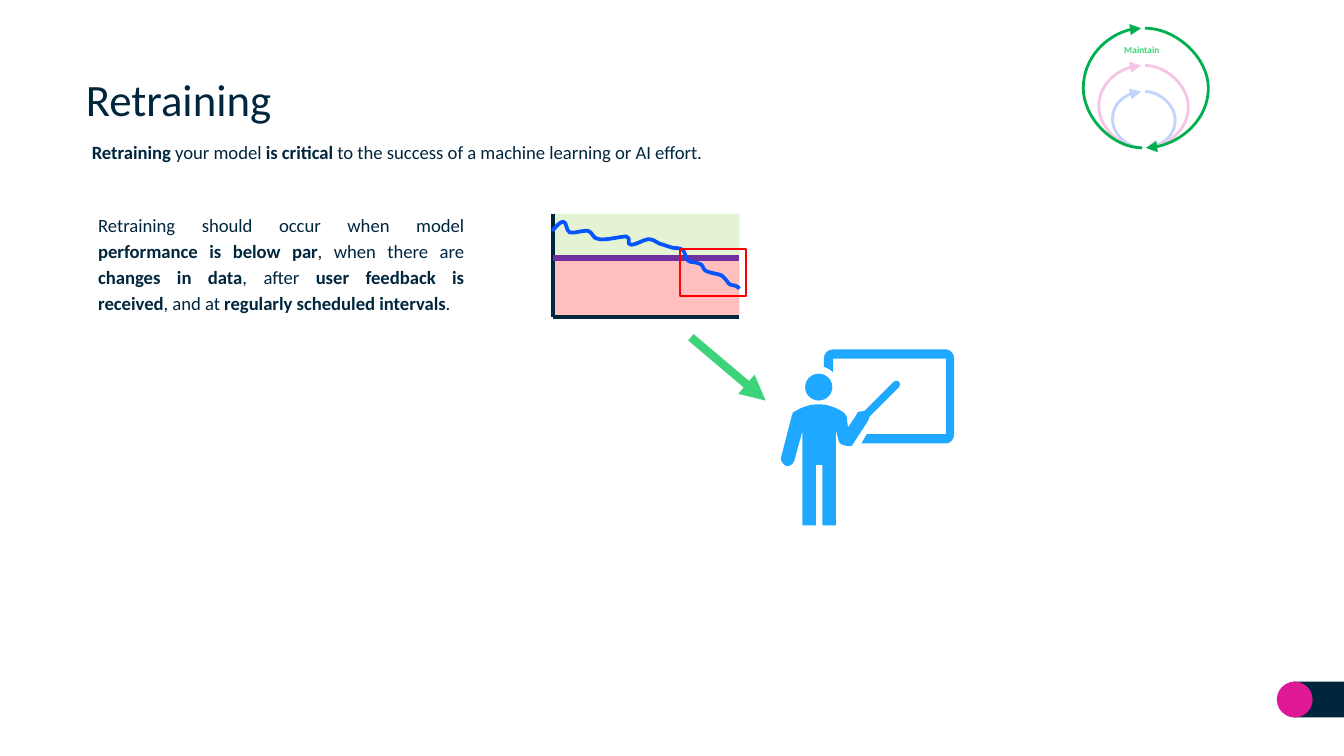
from dataclasses import dataclass
from typing import NamedTuple, Optional

from lxml.etree import SubElement
from pptx import Presentation
from pptx.dml.color import RGBColor as RGB
from pptx.enum.shapes import MSO_CONNECTOR as LINK, MSO_SHAPE as FORM
from pptx.enum.text import MSO_ANCHOR as ANCHOR, PP_ALIGN as ALIGN
from pptx.oxml.ns import qn
from pptx.util import Pt


@dataclass(frozen=True)
class Theme:
    font: str = "Calibri"
    navy: str = "00263E"
    magenta: str = "DF1995"
    sky: str = "1FA8FF"
    blue: str = "0654FE"
    mint: str = "3DD37A"
    green: str = "00B050"
    lime: str = "92D050"
    red: str = "FF0000"
    purple: str = "7030A0"
    white: str = "FFFFFF"
    title: float = 24
    body: float = 10
    label: float = 5


THEME = Theme()


class Box(NamedTuple):
    left: float
    top: float
    width: float
    height: float


@dataclass(frozen=True)
class Block:
    box: Box
    fill: Optional[str] = None
    opacity: int = 100
    form: FORM = FORM.RECTANGLE
    line: Optional[str] = None


@dataclass(frozen=True)
class Stroke:
    start: tuple
    end: tuple
    color: str
    weight: float
    arrow: bool = False


@dataclass(frozen=True)
class Loop:
    top: float
    color: str
    left_reach: float
    right_reach: float


@dataclass(frozen=True)
class Copy:
    box: Box
    runs: tuple
    size: float
    color: str = THEME.navy
    align: ALIGN = ALIGN.JUSTIFY
    anchor: ANCHOR = ANCHOR.TOP
    inset: float = 0.72
    spacing: float = 1.15


def apply(target, values: dict) -> None:
    for key, value in values.items():
        setattr(target, key, value)


def paint(shape, fill: Optional[str], line: Optional[str], weight: float) -> None:
    shape.shadow.inherit = False
    if fill:
        shape.fill.solid()
        shape.fill.fore_color.rgb = RGB.from_string(fill)
    else:
        shape.fill.background()
    if line:
        shape.line.color.rgb = RGB.from_string(line)
        shape.line.width = Pt(weight)
    else:
        shape.line.fill.background()


def draw_block(shapes, block: Block) -> None:
    shape = shapes.add_shape(block.form, *map(Pt, block.box))
    paint(shape, block.fill, block.line, 1)
    if block.opacity < 100:
        color = shape._element.spPr.find(qn("a:solidFill"))[0]
        SubElement(color, qn("a:alpha"), val=str(block.opacity * 1000))


def draw_stroke(shapes, stroke: Stroke, kind: LINK = LINK.STRAIGHT):
    link = shapes.add_connector(kind, *map(Pt, (*stroke.start, *stroke.end)))
    link.line.color.rgb = RGB.from_string(stroke.color)
    link.line.width = Pt(stroke.weight)
    properties = link._element.spPr
    if stroke.arrow:
        SubElement(properties.find(qn("a:ln")), qn("a:tailEnd"), type="triangle")
    SubElement(properties, qn("a:effectLst"))
    return link


def draw_loop(shapes, loop: Loop) -> None:
    bottom, width = 79.2, 0.54
    for left, reach, turn in ((611.3, loop.left_reach, 180), (613.4, loop.right_reach, 0)):
        stroke = Stroke((left, loop.top), (left + width, bottom), loop.color, 1.5, True)
        properties = draw_stroke(shapes, stroke, LINK.CURVE)._element.spPr
        properties.find(qn("a:xfrm")).set("rot", str(turn * 60000))
        geometry = properties.find(qn("a:prstGeom"))
        guides = geometry.find(qn("a:avLst"))
        if guides is None:
            guides = SubElement(geometry, qn("a:avLst"))
        SubElement(guides, qn("a:gd"), name="adj1", fmla=f"val {round(reach * 100000)}")


def draw_outline(shapes, steps: list, fill: Optional[str] = None, line: Optional[str] = None) -> None:
    knots = [step[-2:] for step in steps]
    left, top = map(min, zip(*knots))
    builder = shapes.build_freeform(*knots[0], scale=Pt(0.72))
    builder.add_line_segments(knots[1:], close=fill is not None)
    shape = builder.convert_to_shape()
    segments = list(shape._element.spPr.iter(qn("a:lnTo")))
    for segment, step in zip(segments, steps[1:]):
        if len(step) == 6:
            segment.tag = qn("a:cubicBezTo")
            segment.remove(segment[0])
            for x, y in zip(step[::2], step[1::2]):
                SubElement(segment, qn("a:pt"), x=str(x - left), y=str(y - top))
    paint(shape, fill, line, 2)


def draw_copy(shapes, copy: Copy) -> None:
    frame = shapes.add_textbox(*map(Pt, copy.box)).text_frame
    sides = ("left", "top", "right", "bottom")
    apply(frame, {"word_wrap": True, "vertical_anchor": copy.anchor,
                  **{f"margin_{side}": Pt(copy.inset) for side in sides}})
    paragraph = frame.paragraphs[0]
    apply(paragraph, {"alignment": copy.align, "line_spacing": copy.spacing})
    for words, bold in copy.runs:
        run = paragraph.add_run()
        run.text = words
        apply(run.font, {"name": THEME.font, "size": Pt(copy.size), "bold": bold})
        run.font.color.rgb = RGB.from_string(copy.color)


FOOTER = [Block(Box(692.6, 365.2, 27.4, 19.2), THEME.navy),
          Block(Box(684, 365.2, 19.2, 19.2), THEME.magenta, form=FORM.OVAL)]
COPY = [
    Copy(Box(38.9, 33.1, 644.4, 39.6), (("Retraining", False),), THEME.title,
         align=ALIGN.LEFT, anchor=ANCHOR.MIDDLE, inset=7.2, spacing=1.0),
    Copy(Box(48.5, 73, 443.5, 15.1),
         (("Retraining", True), (" your model ", False), ("is critical ", True),
          ("to the success of a machine learning or AI effort. ", False)), THEME.body),
    Copy(Box(51.9, 112.3, 197.4, 71.3),
         (("Retraining should occur when model", False), (" performance is below par", True),
          (", when there are ", False), ("changes in data", True), (", after ", False),
          ("user feedback is received", True), (", and at ", False),
          ("regularly scheduled intervals", True), (".", False)), THEME.body),
]
HEAD = Block(Box(431.3, 200.2, 14.6, 14.4), THEME.sky, form=FORM.OVAL)
BODY = [
    (669, 284), (668, 283, 666, 283, 665, 284), (643, 306), (641, 306, 639, 306, 638, 307),
    (638, 308, 631, 318, 631, 318), (630, 310), (629, 309, 629, 308, 628, 307),
    (625, 305, 621, 303, 617, 302), (615, 301, 612, 301, 609, 301), (606, 301, 603, 301, 601, 302),
    (597, 303, 593, 305, 590, 307), (589, 308, 589, 309, 589, 310), (589, 310, 581, 341, 581, 341),
    (581, 344, 584, 347, 586, 347), (589, 346, 591, 345, 591, 343), (597, 321), (597, 391),
    (607, 391), (607, 346), (612, 346), (612, 391), (622, 391), (622, 320), (624, 328),
    (624, 329, 624, 329, 625, 330), (627, 331, 629, 332, 631, 332), (633, 332, 635, 332, 635, 330),
    (646, 313), (647, 312, 647, 311, 647, 310), (669, 288), (670, 287, 670, 285, 669, 284),
]
BOARD = [
    (704, 260), (620, 260), (616, 260, 613, 263, 613, 267), (613, 273), (616, 274, 618, 275, 620, 277),
    (620, 267), (704, 267), (704, 323), (645, 323), (641, 330), (704, 330),
    (707, 330, 710, 327, 710, 323), (710, 267), (710, 263, 707, 260, 704, 260),
]
ZONES = [Block(Box(296.2, 137.6, 99.9, 31.7), THEME.red, 25),
         Block(Box(296.2, 114.6, 99.9, 23), THEME.lime, 25)]
AXES = [Stroke((296.2, 114.6), (296.2, 169.8), THEME.navy, 2.25),
        Stroke((396, 169.8), (296.2, 169.8), THEME.navy, 2.25),
        Stroke((396, 138.2), (296.2, 138.2), THEME.purple, 3)]
PERFORMANCE = [
    (411, 172), (414, 168, 417, 165, 419, 165), (422, 165, 421, 172, 424, 173),
    (427, 174, 434, 171, 438, 172), (441, 173, 441, 178, 446, 178), (450, 179, 462, 176, 466, 176),
    (470, 177, 466, 182, 469, 182), (472, 183, 479, 178, 483, 178), (487, 178, 490, 182, 493, 182),
    (496, 183, 496, 183, 499, 184), (501, 185, 506, 184, 508, 186), (510, 188, 510, 192, 512, 194),
    (513, 195, 515, 195, 515, 195), (517, 195, 520, 196, 522, 197), (524, 199, 523, 201, 526, 202),
    (528, 203, 535, 204, 537, 205), (539, 206, 538, 207, 540, 208), (541, 210, 543, 212, 544, 212),
    (546, 213, 547, 212, 548, 213), (549, 213, 549, 214, 550, 215),
]
DECLINE = Block(Box(364.4, 133.4, 35.1, 25.3), line=THEME.red)
RETRAIN = Stroke((370.1, 180.7), (410.2, 214.6), THEME.mint, 4.5, True)
INNER_LOOPS = [Loop(49, THEME.blue, 29.5, 30), Loop(35.1, THEME.magenta, 43, 43)]
VEIL = Block(Box(577.4, 10.8, 72, 72), THEME.white, 75, FORM.OVAL)
MAINTAIN_LOOP = Loop(15.1, THEME.green, 58.5, 63)
MAINTAIN = Copy(Box(585.4, 22.3, 52.6, 8.6), (("Maintain", True),), THEME.label,
                THEME.mint, ALIGN.CENTER)


def main() -> None:
    deck = Presentation()
    apply(deck, {"slide_width": Pt(720), "slide_height": Pt(405)})
    shapes = deck.slides.add_slide(deck.slide_layouts[6]).shapes
    for block in FOOTER:
        draw_block(shapes, block)
    for copy in COPY:
        draw_copy(shapes, copy)
    draw_block(shapes, HEAD)
    for steps in (BODY, BOARD):
        draw_outline(shapes, steps, fill=THEME.sky)
    for zone in ZONES:
        draw_block(shapes, zone)
    for axis in AXES:
        draw_stroke(shapes, axis)
    draw_outline(shapes, PERFORMANCE, line=THEME.blue)
    draw_block(shapes, DECLINE)
    draw_stroke(shapes, RETRAIN)
    for loop in INNER_LOOPS:
        draw_loop(shapes, loop)
    draw_block(shapes, VEIL)
    draw_loop(shapes, MAINTAIN_LOOP)
    draw_copy(shapes, MAINTAIN)
    deck.save("out.pptx")


if __name__ == "__main__":
    main()
